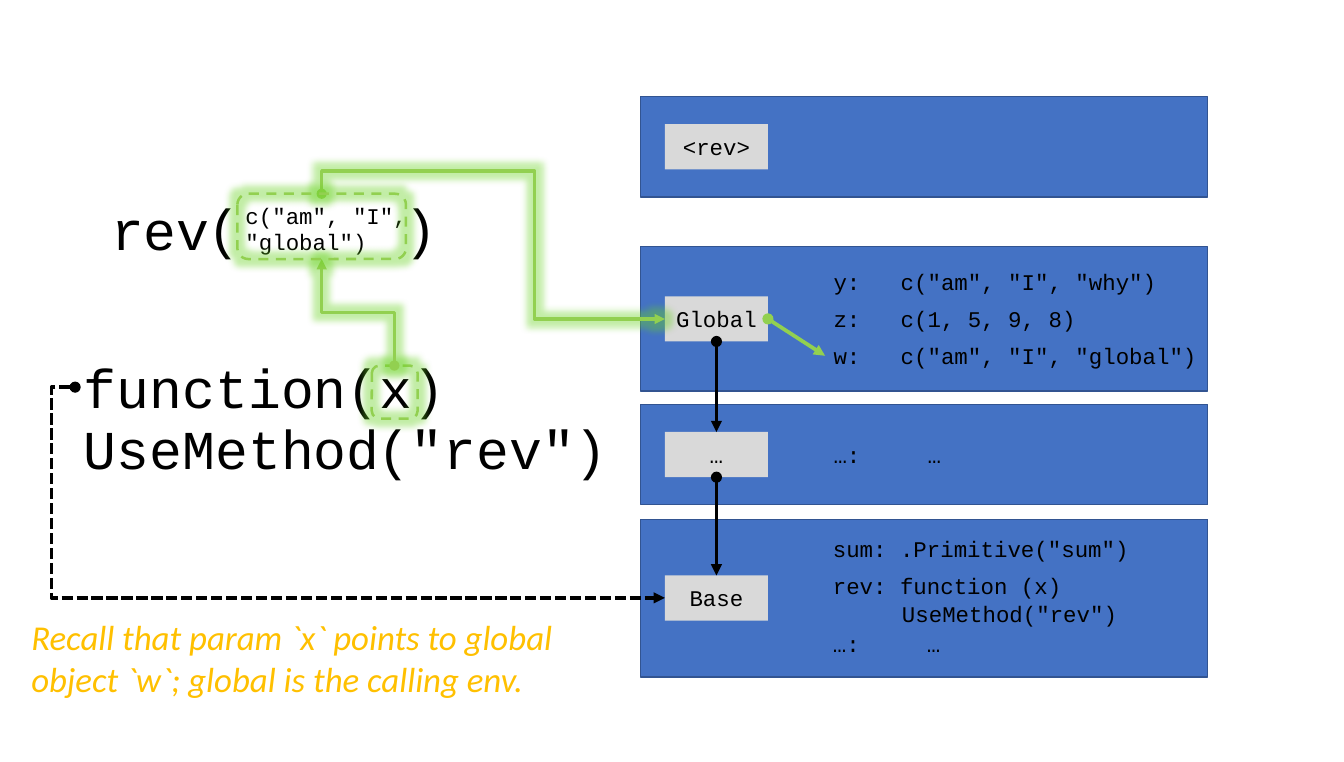
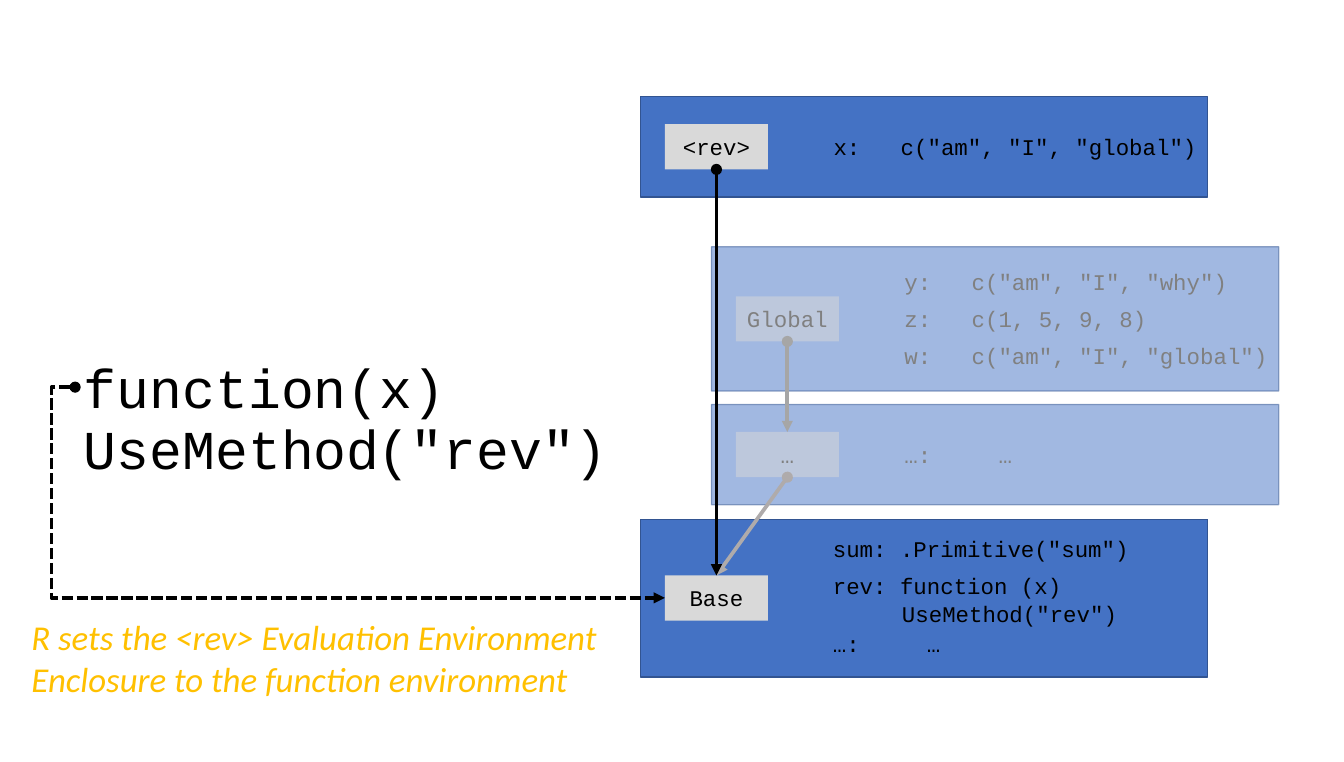
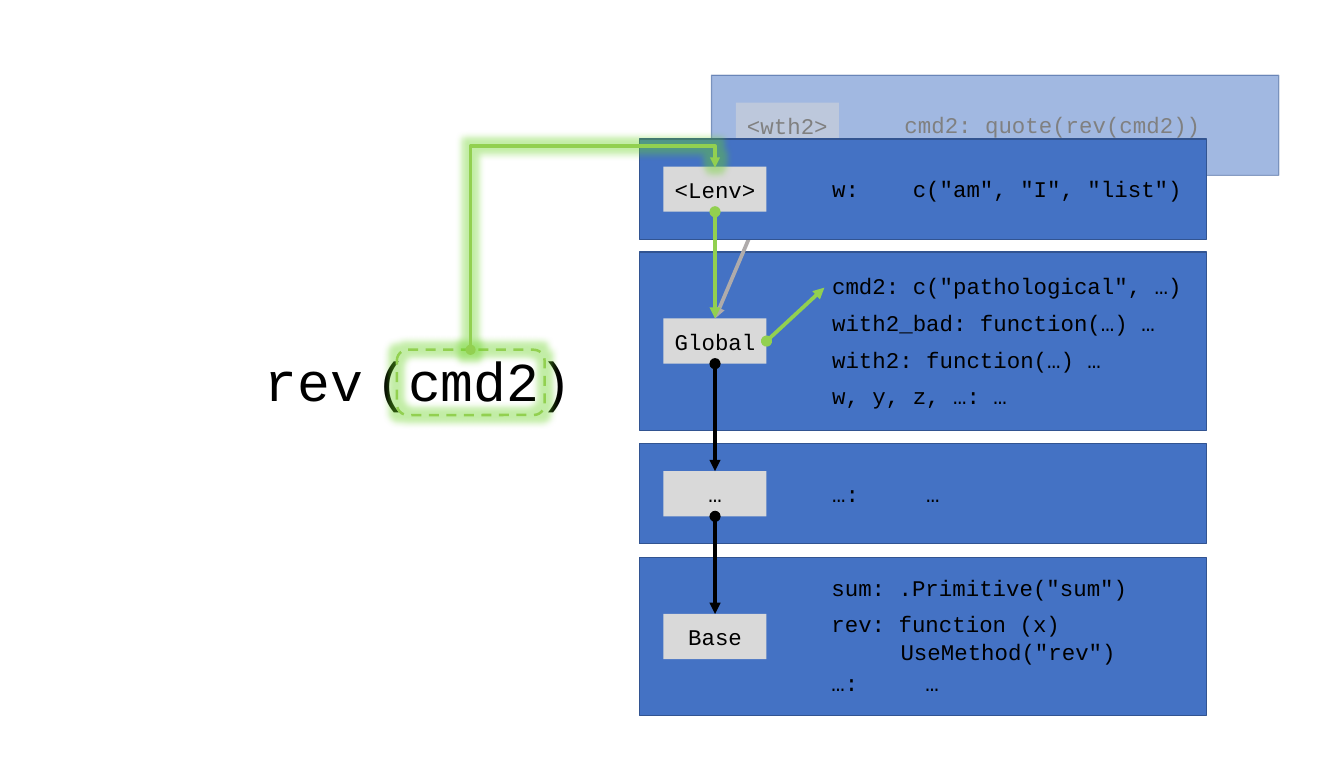
from dataclasses import dataclass

from lxml import etree
from pptx import Presentation
from pptx.dml.color import RGBColor
from pptx.enum import dml, shapes, text
from pptx.oxml.ns import qn
from pptx.util import Cm, Pt


@dataclass(frozen=True)
class Theme:
    panel: str = "4472C4"
    edge: str = "325491"
    tag: str = "D9D9D9"
    ink: str = "000000"
    ghost_ink: str = "808080"
    ghost_line: str = "A6A6A6"
    pale_line: str = "AFABAB"
    trail: str = "92D050"
    glow: str = "70AD47"
    caption: str = "FFC000"
    mono: str = "Courier New"
    sans: str = "Calibri"
    small: int = 18
    note: int = 28
    big: int = 44


T = Theme()
PANEL_W, TAG_W, TAG_H = 16.08, 2.92, 1.28
ROW_H, ROW_STEP, ROW_X, TAG_X = 1.03, 1.04, 5.22, 0.69
LEFT, GHOST_LEFT, LEFT_3 = 18.16, 20.17, 18.12
SHORT, TALL = 2.84, 4.47
ELLIPSIS = [("…:\t…", 7)]
GLOBAL_ROWS = [('y:\tc("am", "I", "why")', 5), ("z:\tc(1, 5, 9, 8)", 5),
               ('w:\tc("am", "I", "global")', 5)]


def rgb(value):
    return RGBColor.from_string(value)


def add(parent, tag, **attrs):
    return etree.SubElement(parent, qn(tag), attrs)


class Deck:
    """Draw environment diagrams on the current slide in one style."""

    def __init__(self):
        self.prs = Presentation()
        self.prs.slide_width, self.prs.slide_height = Cm(38.1), Cm(21.59)
        self.s = None

    def slide(self):
        self.s = self.prs.slides.add_slide(self.prs.slide_layouts[6])

    def style(self, p, size, color, font=T.mono, italic=None, tab=0):
        f = p.font
        f.name, f.size, f.italic = font, Pt(size), italic
        f.color.rgb = rgb(color)
        if tab:
            tabs = etree.Element(qn("a:tabLst"))
            add(tabs, "a:tab", pos=str(Pt(tab * size * 0.6)), algn="l")
            p._p.get_or_add_pPr().insert(0, tabs)

    def text(self, x, y, w, h, words, size=T.small, color=T.ink, **look):
        sp = self.s.shapes.add_textbox(Cm(x), Cm(y), Cm(w), Cm(h))
        tf = sp.text_frame
        tf.word_wrap = True
        tf.text = words
        for p in tf.paragraphs:
            self.style(p, size, color, **look)

    def row(self, x, y, words, tab=0, color=T.ink):
        chars = tab + len(words.split("\t")[-1])
        self.text(x, y, round(chars * 0.381 + 0.56, 2), ROW_H, words,
                  color=color, tab=tab)

    def shape(self, kind, x, y, w, h, fill=None, ghost=False):
        sp = self.s.shapes.add_shape(kind, Cm(x), Cm(y), Cm(w), Cm(h))
        sp.shadow.inherit = False
        if fill:
            sp.fill.solid()
            sp.fill.fore_color.rgb = rgb(fill)
        else:
            sp.fill.background()
        if fill == T.tag:
            sp.line.fill.background()
        else:
            sp.line.color.rgb = rgb(T.edge if fill else T.trail)
            sp.line.width = Pt(1 if fill else 2)
        if ghost:
            for clr in sp._element.spPr.iter(qn("a:srgbClr")):
                add(clr, "a:alpha", val="50000")
        return sp

    def env(self, x, y, h, name, rows=(), ghost=False):
        ink = T.ghost_ink if ghost else T.ink
        panel = self.shape(shapes.MSO_SHAPE.ROUNDED_RECTANGLE, x, y, PANEL_W, h,
                           T.panel, ghost)
        panel.adjustments[0] = 0
        first = y + (h - ROW_H - ROW_STEP * (len(rows) - 1)) / 2
        for i, (words, tab) in enumerate(rows):
            self.row(x + ROW_X, first + i * ROW_STEP, words, tab, ink)
        tag = self.shape(shapes.MSO_SHAPE.RECTANGLE, x + TAG_X,
                         y + (h - TAG_H) / 2, TAG_W, TAG_H, T.tag, ghost)
        tf = tag.text_frame
        tf.margin_left = tf.margin_right = tf.margin_top = tf.margin_bottom = Cm(0.25)
        tf.word_wrap = False
        tf.vertical_anchor = text.MSO_ANCHOR.MIDDLE
        p = tf.paragraphs[0]
        p.text, p.alignment = name, text.PP_ALIGN.CENTER
        self.style(p, T.small, ink)
        return tag

    def base(self, x, y):
        tag = self.env(x, y, TALL, "Base")
        for dx, dy, words, tab in ((0, 0.33, 'sum: .Primitive("sum")', 0),
                                   (0, 1.37, "rev: function (x)", 0),
                                   (1.96, 2.16, 'UseMethod("rev")', 0),
                                   (0, 3.02, "…:\t…", 7)):
            self.row(x + ROW_X - 0.02 + dx, y + dy, words, tab)
        return tag

    def glow(self, effects):
        halo = add(effects, "a:glow", rad=str(Pt(11)))
        clr = add(halo, "a:srgbClr", val=T.glow)
        add(clr, "a:satMod", val="175000")
        add(clr, "a:alpha", val="40000")

    def focus(self, x, y, w, h):
        sp = self.shape(shapes.MSO_SHAPE.ROUNDED_RECTANGLE, x, y, w, h)
        sp.line.dash_style = dml.MSO_LINE.DASH
        self.glow(sp._element.spPr.find(qn("a:effectLst")))

    def line(self, kind, start, end, color, width=3.0, dash=None):
        sp = self.s.shapes.add_connector(kind, *map(Cm, (*start, *end)))
        sp.line.color.rgb, sp.line.width = rgb(color), Pt(width)
        if dash:
            sp.line.dash_style = dash
        ln = sp.line._get_or_add_ln()
        add(ln, "a:headEnd", type="oval")
        add(ln, "a:tailEnd", type="triangle")
        add(sp._element.spPr, "a:effectLst")
        return sp

    def arrow(self, tag, target, color=T.ink):
        to_row = isinstance(target, tuple)
        sp = self.line(shapes.MSO_CONNECTOR.STRAIGHT, (0, 0),
                       target if to_row else (0, 0), color)
        sp.begin_connect(tag, 3 if to_row else 2)
        if not to_row:
            sp.end_connect(target, 0)

    def bend(self, sp, *adjusts):
        geom = sp._element.spPr.find(qn("a:prstGeom"))
        geom.set("prst", f"bentConnector{len(adjusts) + 2}")
        guides = geom.find(qn("a:avLst"))
        if guides is None:
            guides = add(geom, "a:avLst")
        for i, value in enumerate(adjusts, 1):
            add(guides, "a:gd", name=f"adj{i}", fmla=f"val {round(value * 100000)}")

    def trail(self, start, end, *adjusts):
        (x1, y1), (x2, y2) = start, end
        cx, cy, dx, dy = (x1 + x2) / 2, (y1 + y2) / 2, x2 - x1, y2 - y1
        sp = self.line(shapes.MSO_CONNECTOR.ELBOW, (cx + dy / 2, cy - dx / 2),
                       (cx - dy / 2, cy + dx / 2), T.trail, 2.75)
        sp._element.spPr.find(qn("a:xfrm")).set("rot", str(270 * 60000))
        self.bend(sp, *adjusts)
        self.glow(sp._element.spPr.find(qn("a:effectLst")))

    def big(self, x, y, w, words, tab=0):
        self.text(x, y, w, 2.14, words, T.big, tab=tab)

    def function_rev(self):
        self.big(2.13, 11.63, 11.05, "UseMethod")
        self.big(10.46, 11.63, 7.14, '("rev")')
        self.big(2.13, 9.91, 11.05, "function(x)")
        sp = self.line(shapes.MSO_CONNECTOR.ELBOW, (2.13, 10.97), (18.85, 16.94),
                       T.ink, dash=dml.MSO_LINE.SQUARE_DOT)
        self.bend(sp, -0.04)

    def caption(self, words):
        self.text(0.64, 17.32, 17.09, 2.64, words, T.note, T.caption,
                  font=T.sans, italic=True)


def calling_slide(d):
    d.slide()
    base = d.base(LEFT, 14.71)
    between = d.env(LEFT, 11.46, SHORT, "…", ELLIPSIS)
    world = d.env(LEFT, 6.99, 4.09, "Global", GLOBAL_ROWS)
    d.arrow(world, between)
    d.arrow(between, base)
    d.function_rev()
    d.env(LEFT, 2.74, SHORT, "<rev>")
    d.big(2.9, 5.41, 3.61, "rev")
    d.focus(10.54, 10.36, 1.3, 1.5)
    d.trail((11.18, 10.36), (9.12, 7.34), 0.5)
    d.trail((9.12, 5.49), (18.85, 9.04), -0.18, 0.62)
    d.arrow(world, (23.39, 10.08), T.trail)
    d.text(6.71, 5.59, 5.49, 1.8, 'c("am", "I",\n"global")')
    d.big(5.64, 5.36, 9.47, "(\t)", 6)
    d.focus(6.73, 5.49, 4.78, 1.85)
    d.caption("Recall that param `x` points to global object `w`; "
              "global is the calling env.")


def enclosure_slide(d):
    d.slide()
    between = d.env(GHOST_LEFT, 11.46, SHORT, "…", ELLIPSIS, ghost=True)
    world = d.env(GHOST_LEFT, 6.99, 4.09, "Global", GLOBAL_ROWS, ghost=True)
    d.arrow(world, between, T.ghost_line)
    base = d.base(LEFT, 14.71)
    d.arrow(between, base, T.pale_line)
    d.function_rev()
    rev = d.env(LEFT, 2.74, SHORT, "<rev>", [('x:\tc("am", "I", "global")', 5)])
    d.arrow(rev, base)
    d.caption("R sets the <rev> Evaluation Environment "
              "Enclosure to the function environment")


def list_slide(d):
    d.slide()
    wth2 = d.env(GHOST_LEFT, 2.13, SHORT, "<wth2>",
                 [("cmd2: quote(rev(cmd2))", 0)], ghost=True)
    between = d.env(LEFT_3, 12.57, SHORT, "…", ELLIPSIS)
    base = d.base(LEFT_3, 15.8)
    world = d.env(LEFT_3, 7.14, 5.05, "Global",
                  [('cmd2: c("pathological", …)', 0),
                   ("with2_bad: function(…) …", 0),
                   ("with2: function(…) …", 0), ("w, y, z, …: …", 0)])
    d.arrow(world, between)
    d.arrow(between, base)
    d.big(10.39, 9.7, 6.12, "(cmd2)")
    d.focus(11.25, 9.91, 4.19, 1.85)
    d.big(7.26, 9.7, 4.01, "rev")
    d.arrow(world, (23.37, 8.15), T.trail)
    d.arrow(wth2, world, T.pale_line)
    lenv = d.env(LEFT_3, 3.94, SHORT, "<Lenv>", [('w:\tc("am", "I", "list")', 6)])
    d.trail((13.34, 9.91), (20.27, 4.75), 1.12)
    d.arrow(lenv, world, T.trail)


def main():
    d = Deck()
    calling_slide(d)
    enclosure_slide(d)
    list_slide(d)
    d.prs.save("out.pptx")


if __name__ == "__main__":
    main()
